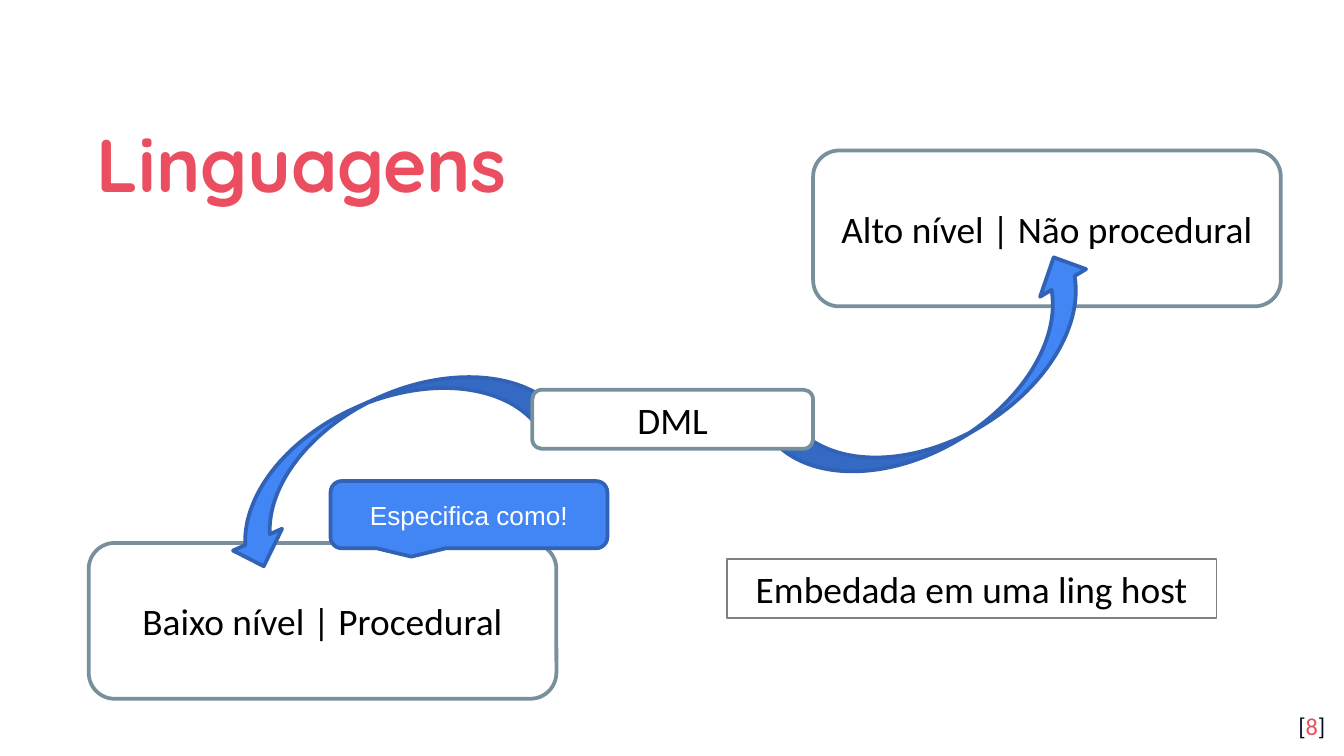
from dataclasses import dataclass

from pptx import Presentation
from pptx.dml.color import RGBColor
from pptx.enum import shapes, text
from pptx.util import Inches, Pt

PINK, NAVY, SLATE, GRAY = "EA4E60", "040A24", "78909C", "808080"
BLUE, DARK_BLUE, WHITE, BLACK = "4285F4", "3162B5", "FFFFFF", "000000"
Kind = shapes.MSO_SHAPE


@dataclass
class Node:
    kind: Kind
    left: float
    top: float
    width: float
    height: float
    label: str = ""
    fill: str = WHITE
    line: str = SLATE
    line_width: float = 2
    rotation: float = 0
    font: str = "Calibri"
    size: float = 20
    color: str = BLACK


# From back to front
NODES = [
    Node(Kind.ROUNDED_RECTANGLE, 6.05, 1.12, 3.48, 1.16, "Alto nível | Não procedural"),
    Node(Kind.ROUNDED_RECTANGLE, 0.66, 4.04, 3.48, 1.16, "Baixo nível | Procedural"),
    Node(Kind.CURVED_UP_ARROW, 5.71, 2.45, 2.7, 0.8, fill=BLUE, line=DARK_BLUE, rotation=329),
    Node(Kind.CURVED_UP_ARROW, 1.5, 2.98, 2.7, 0.8, fill=BLUE, line=DARK_BLUE, rotation=156),
    Node(Kind.ROUNDED_RECTANGLE, 3.96, 2.9, 2.09, 0.44, "DML"),
    Node(Kind.ROUNDED_RECTANGULAR_CALLOUT, 2.46, 3.58, 2.06, 0.5, "Especifica como!",
         fill=BLUE, line=DARK_BLUE, font="Arial", size=14, color=WHITE),
    Node(Kind.RECTANGLE, 5.41, 4.16, 3.64, 0.44, "Embedada em uma ling host",
         fill="", line=GRAY, line_width=0.75),
]


def rgb(value: str) -> RGBColor:
    return RGBColor.from_string(value)


def style_font(font, name: str, size: float, color: str) -> None:
    font.name = name
    font.size = Pt(size)
    font.color.rgb = rgb(color)


def set_margins(frame, margin: float) -> None:
    frame.margin_left = frame.margin_right = Inches(margin)
    frame.margin_top = frame.margin_bottom = Inches(margin)


def draw_node(slide, node: Node) -> None:
    shape = slide.shapes.add_shape(node.kind, Inches(node.left), Inches(node.top),
                                   Inches(node.width), Inches(node.height))
    shape.shadow.inherit = False
    shape.rotation = node.rotation
    if node.fill:
        shape.fill.solid()
        shape.fill.fore_color.rgb = rgb(node.fill)
    else:
        shape.fill.background()
    shape.line.color.rgb = rgb(node.line)
    shape.line.width = Pt(node.line_width)
    if node.label:
        frame = shape.text_frame
        frame.word_wrap = True
        frame.vertical_anchor = text.MSO_ANCHOR.MIDDLE
        label = frame.paragraphs[0]
        label.text = node.label
        label.alignment = text.PP_ALIGN.CENTER
        style_font(label.font, node.font, node.size, node.color)


def draw_title(slide, wording: str) -> None:
    title = slide.shapes.title
    title.left, title.top = Inches(0.62), Inches(0.7)
    title.width, title.height = Inches(8.77), Inches(0.92)
    frame = title.text_frame
    frame.word_wrap = True
    frame.auto_size = text.MSO_AUTO_SIZE.NONE
    frame.vertical_anchor = text.MSO_ANCHOR.MIDDLE
    set_margins(frame, 0.1)
    heading = frame.paragraphs[0]
    heading.text = wording
    heading.alignment = text.PP_ALIGN.LEFT
    heading.line_spacing = 1.15
    heading.space_before = Pt(0)
    style_font(heading.font, "Quicksand", 40, PINK)
    heading.font.bold = True


def draw_page_number(slide, number: int) -> None:
    box = slide.shapes.add_textbox(Inches(9.36), Inches(5.19), Inches(0.6), Inches(0.43))
    frame = box.text_frame
    frame.word_wrap = True
    set_margins(frame, 0.1)
    paragraph = frame.paragraphs[0]
    paragraph.alignment = text.PP_ALIGN.RIGHT
    for part, color in (("[", NAVY), (str(number), PINK), ("]", NAVY)):
        run = paragraph.add_run()
        run.text = part
        style_font(run.font, "Calibri", 13, color)


def main() -> None:
    deck = Presentation()
    deck.slide_width = Inches(10)
    deck.slide_height = deck.slide_width * 9 // 16
    slide = deck.slides.add_slide(deck.slide_layouts[5])
    draw_page_number(slide, 8)
    draw_title(slide, "Linguagens")
    for node in NODES:
        draw_node(slide, node)
    deck.save("out.pptx")


if __name__ == "__main__":
    main()
